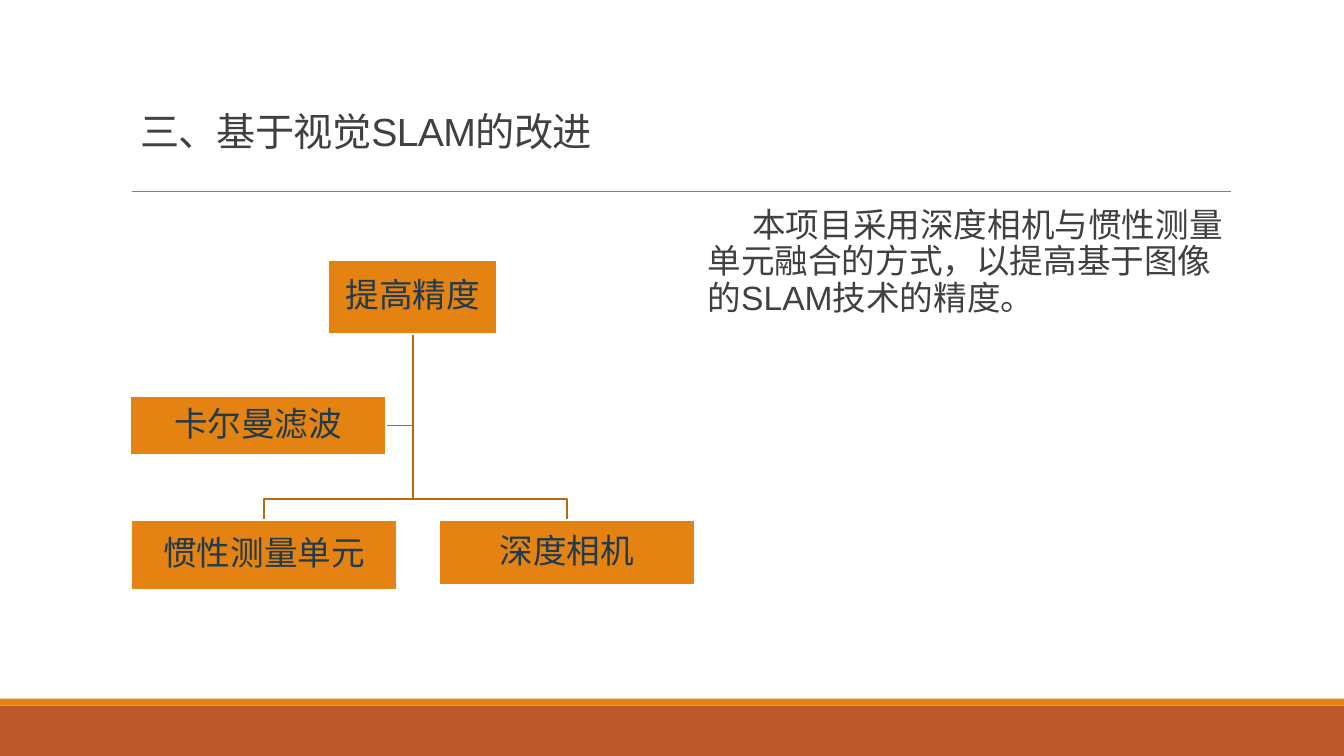
from lxml import etree
from pptx import Presentation
from pptx import util as u
from pptx.dml.color import RGBColor
from pptx.enum import shapes, text
from pptx.oxml.ns import qn

ORANGE, RUST, BRANCH = "E48312", "BD582C", "B7690E"
DARK, NAVY, GRAY, WHITE = "404040", "203A4E", "808080", "FFFFFF"


def color(value):
    return RGBColor.from_string(value)


def write(shape, content, size, ink, align=text.PP_ALIGN.LEFT,
          anchor=text.MSO_ANCHOR.TOP, insets=(7.2, 3.6), line_spacing=0.9,
          before=0, after=0, left_margin=0, first_indent=0, tracking=0):
    frame = shape.text_frame
    frame.word_wrap = True
    frame.auto_size = text.MSO_AUTO_SIZE.NONE
    frame.vertical_anchor = anchor
    frame.margin_left = frame.margin_right = u.Pt(insets[0])
    frame.margin_top = frame.margin_bottom = u.Pt(insets[1])
    paragraph = frame.paragraphs[0]
    paragraph.alignment = align
    paragraph.line_spacing = line_spacing
    paragraph.space_before, paragraph.space_after = u.Pt(before), u.Pt(after)
    properties = paragraph._p.get_or_add_pPr()
    properties.set("marL", str(u.Pt(left_margin)))
    properties.set("indent", str(u.Pt(first_indent)))
    run = paragraph.add_run()
    run.text = content
    run.font.name, run.font.size = "Arial", u.Pt(size)
    run.font.color.rgb = color(ink)
    if tracking:
        run._r.get_or_add_rPr().set("spc", str(round(tracking * 100)))


def add_rectangle(slide, box, fill, outline=None):
    shape = slide.shapes.add_shape(shapes.MSO_SHAPE.RECTANGLE, *map(u.Pt, box))
    shape.shadow.inherit = False
    shape.fill.solid()
    shape.fill.fore_color.rgb = color(fill)
    if outline:
        shape.line.color.rgb = color(outline)
        shape.line.width = u.Pt(1.25)
    else:
        shape.line.fill.background()
    return shape


def add_branch(slide, points):
    (start_x, start_y), *rest = [(u.Pt(x), u.Pt(y)) for x, y in points]
    builder = slide.shapes.build_freeform(start_x, start_y)
    builder.add_line_segments(rest, close=False)
    branch = builder.convert_to_shape()
    branch.shadow.inherit = False
    branch.fill.background()
    branch.line.color.rgb = color(BRANCH)
    branch.line.width = u.Pt(1.25)


def add_footer(slide, left, top, width, height):
    accent = 5
    add_rectangle(slide, (left, top + accent, width, height - accent), RUST)
    add_rectangle(slide, (left, top, width, accent), ORANGE)


def add_heading(slide, left, top, width, height):
    # Rule below the title
    rule_y = top + height + 23.1
    rule = slide.shapes.add_connector(
        shapes.MSO_CONNECTOR.STRAIGHT, u.Pt(left + 1.4), u.Pt(rule_y),
        u.Pt(left + 786.2), u.Pt(rule_y))
    rule.line.color.rgb = color(GRAY)
    rule.line.width = u.Pt(0.5)
    etree.SubElement(rule._element.spPr, qn("a:effectLst"))
    # Title
    title = slide.shapes.title
    title.left, title.top = u.Pt(left), u.Pt(top)
    title.width, title.height = u.Pt(width), u.Pt(height)
    write(title, "三、基于视觉SLAM的改进", 28, DARK, line_spacing=0.85,
          anchor=text.MSO_ANCHOR.BOTTOM, tracking=-0.5)


def add_description(slide, left, top, width, height):
    box = slide.shapes.add_textbox(*map(u.Pt, (left, top, width, height)))
    write(box, "本项目采用深度相机与惯性测量单元融合的方式，以提高基于图像的SLAM技术的精度。",
          24, DARK, insets=(0, 3.6), before=2, after=4,
          left_margin=15.84, first_indent=32)


def add_hierarchy(slide, left, top):
    # Boxes, placed from the corner of the diagram
    goal = ("提高精度", left + 141.8, top, 120.2, 52.6)
    sensors = [("惯性测量单元", left + 0.7, top + 185.7, 190.1, 49.7),
               ("深度相机", left + 221, top + 185.7, 182.2, 46.1)]
    kalman = ("卡尔曼滤波", left, top + 97.2, 182.9, 41.8)

    # Branches from the goal to the filter and the sensors
    trunk_x, trunk_y = goal[1] + goal[3] / 2, goal[2] + goal[4]
    kalman_y = kalman[2] + kalman[4] / 2
    add_branch(slide, [(trunk_x, trunk_y), (trunk_x, kalman_y),
                       (kalman[1] + kalman[3], kalman_y)])
    for _, x, y, width, _ in sensors:
        center, bus_y = x + width / 2, y - 15.1
        add_branch(slide, [(trunk_x, trunk_y), (trunk_x, bus_y),
                           (center, bus_y), (center, y)])

    for label, *box in [goal, *sensors, kalman]:
        write(add_rectangle(slide, box, ORANGE, WHITE), label, 24, NAVY,
              align=text.PP_ALIGN.CENTER, anchor=text.MSO_ANCHOR.MIDDLE,
              insets=(1.2, 1.2), after=8.4)


def main():
    presentation = Presentation()
    presentation.slide_width, presentation.slide_height = u.Pt(960), u.Pt(540)
    slide = presentation.slides.add_slide(presentation.slide_layouts[5])
    add_footer(slide, 0, 499, 960, 41)
    add_heading(slide, 92.9, 61.9, 632.2, 51.8)
    add_description(slide, 489.6, 145.4, 388.8, 316.8)
    add_hierarchy(slide, 92.9, 185.8)
    presentation.save("out.pptx")


if __name__ == "__main__":
    main()
